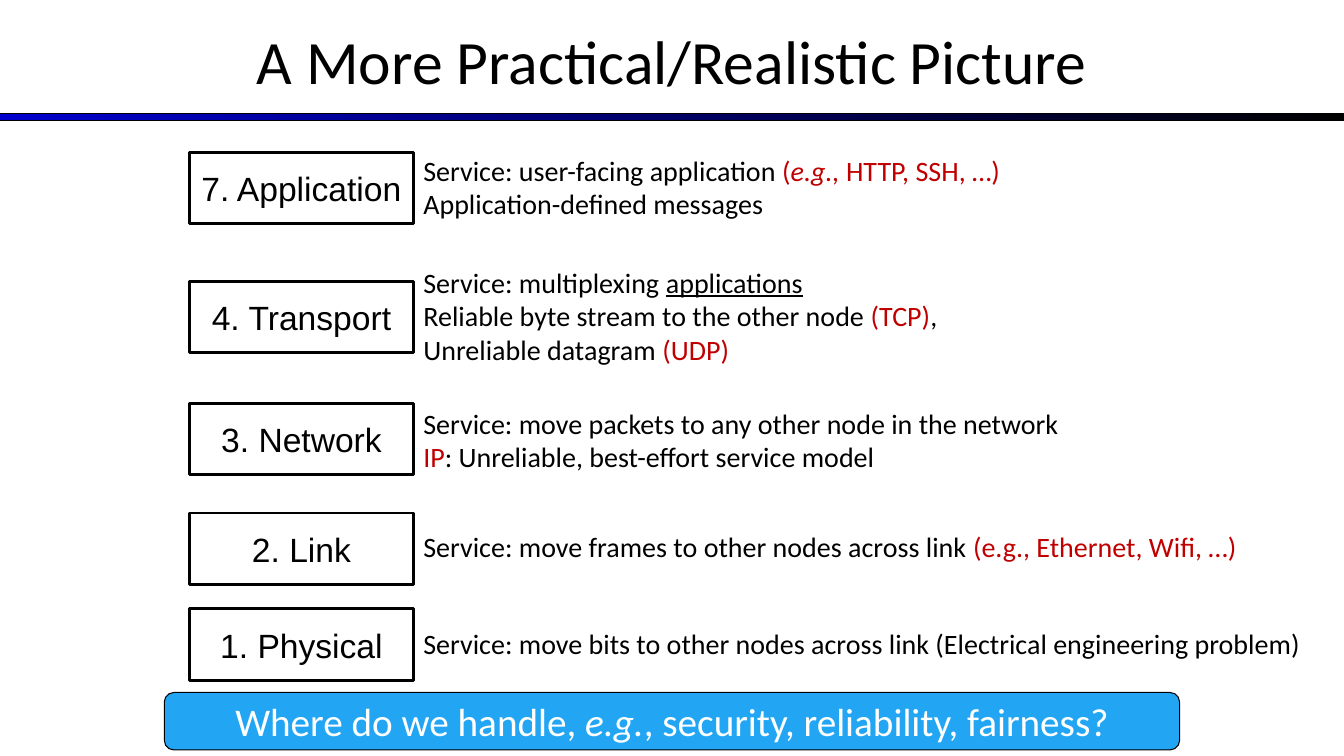
import pptx
import pptx.util
from pptx.dml.color import RGBColor
from pptx.enum.shapes import MSO_SHAPE
from pptx.enum.text import MSO_ANCHOR, MSO_AUTO_SIZE, PP_ALIGN

PX = 9144  # EMU per px, 100 px to the inch
COLORS = {
    "black": "000000",
    "white": "FFFFFF",
    "red": "C00000",
    "navy": "0000CC",
    "sky": "22A6F4",
}

# Layer name, box top, service text (top, width, height), paragraphs of runs
LAYERS = [
    ("7. Application", 151, (147, 738, 77), [
        [("Service: user-facing application ", {}), ("(", {"color": "red"}),
         ("e.g., ", {"color": "red", "italic": True}),
         ("HTTP, SSH, …)", {"color": "red"})],
        [("Application-defined messages", {})],
    ]),
    ("4. Transport", 279, (258, 562, 111), [
        [("Service: multiplexing ", {}), ("applications", {"underline": True})],
        [("Reliable byte stream to the other node ", {}),
         ("(TCP)", {"color": "red"}), (",", {})],
        [("Unreliable datagram ", {}), ("(UDP)", {"color": "red"})],
    ]),
    ("3. Network", 400, (398, 754, 77), [
        [("Service: move packets to any other node in the network", {})],
        [("IP", {"color": "red"}),
         (": Unreliable, best-effort service model", {})],
    ]),
    ("2. Link", 509, (520, 895, 44), [
        [("Service: move frames to other nodes across link ", {}),
         ("(e.g., Ethernet, Wifi, …)", {"color": "red"})],
    ]),
    ("1. Physical", 604, (617, 895, 44), [
        [("Service: move bits to other nodes across link "
          "(Electrical engineering problem)", {})],
    ]),
]


def rgb(name):
    return RGBColor.from_string(COLORS[name])


def px(*lengths):
    return [pptx.util.Emu(n * PX) for n in lengths]


class SlideBuilder:
    def __init__(self, prs, font="Calibri"):
        self.font = font
        self.s = prs.slides.add_slide(prs.slide_layouts[5])

    def style(self, r, size, color="black", font=None, italic=False, underline=False):
        r.font.name = font or self.font
        r.font.size = pptx.util.Pt(size)
        r.font.color.rgb = rgb(color)
        r.font.italic = italic
        r.font.underline = underline

    def add_runs(self, tf, paragraphs, size, align=PP_ALIGN.LEFT, **base):
        for i, runs in enumerate(paragraphs):
            p = tf.add_paragraph() if i else tf.paragraphs[0]
            p.alignment = align
            for text, extra in runs:
                r = p.add_run()
                r.text = text
                self.style(r, size, **{**base, **extra})

    def title(self, text, *box):
        sp = self.s.shapes.title
        sp.left, sp.top, sp.width, sp.height = px(*box)
        tf = sp.text_frame
        tf.text = text
        tf.auto_size = MSO_AUTO_SIZE.NONE
        tf.vertical_anchor = MSO_ANCHOR.MIDDLE
        tf.paragraphs[0].alignment = PP_ALIGN.CENTER
        self.style(tf.paragraphs[0].runs[0], 44)

    def shape(self, kind, box, line_width, fill=None):
        sp = self.s.shapes.add_shape(kind, *px(*box))
        sp.shadow.inherit = False
        sp.line.color.rgb = rgb("black")
        sp.line.width = pptx.util.Pt(line_width)
        if fill:
            sp.fill.solid()
            sp.fill.fore_color.rgb = rgb(fill)
        return sp

    def gradient_bar(self, start, end, *box):
        sp = self.shape(MSO_SHAPE.RECTANGLE, box, 0.75)
        sp.fill.gradient()
        sp.fill.gradient_angle = 0
        for stop, color in zip(sp.fill.gradient_stops, (start, end)):
            stop.color.rgb = rgb(color)

    def label(self, kind, box, runs, size, line_width, fill, **base):
        tf = self.shape(kind, box, line_width, fill).text_frame
        tf.word_wrap = False
        tf.vertical_anchor = MSO_ANCHOR.MIDDLE
        self.add_runs(tf, [runs], size, PP_ALIGN.CENTER, **base)

    def text(self, box, paragraphs, size):
        tf = self.s.shapes.add_textbox(*px(*box)).text_frame
        tf.word_wrap = True
        tf.auto_size = MSO_AUTO_SIZE.SHAPE_TO_FIT_TEXT
        self.add_runs(tf, paragraphs, size)


def main():
    prs = pptx.Presentation()
    prs.slide_width, prs.slide_height = px(1333, 750)
    slide = SlideBuilder(prs)

    # Heading
    slide.gradient_bar("navy", "black", 0, 113, 1333, 7)
    slide.title("A More Practical/Realistic Picture", 0, -3, 1333, 125)

    # Layer boxes with their services
    for name, top, (text_top, width, height), service in LAYERS:
        slide.label(MSO_SHAPE.RECTANGLE, (188, top, 222, 71), [(name, {})],
                    24, 2, "white", font="Arial")
        slide.text((410, text_top, width, height), service, 20)

    # Closing question
    question = [("Where do we handle, ", {}), ("e.g.", {"italic": True}),
                (", security, reliability, fairness?", {})]
    slide.label(MSO_SHAPE.ROUNDED_RECTANGLE, (163, 687, 1007, 57), question,
                28, 0.75, "sky", color="white")

    prs.save("out.pptx")


if __name__ == "__main__":
    main()
